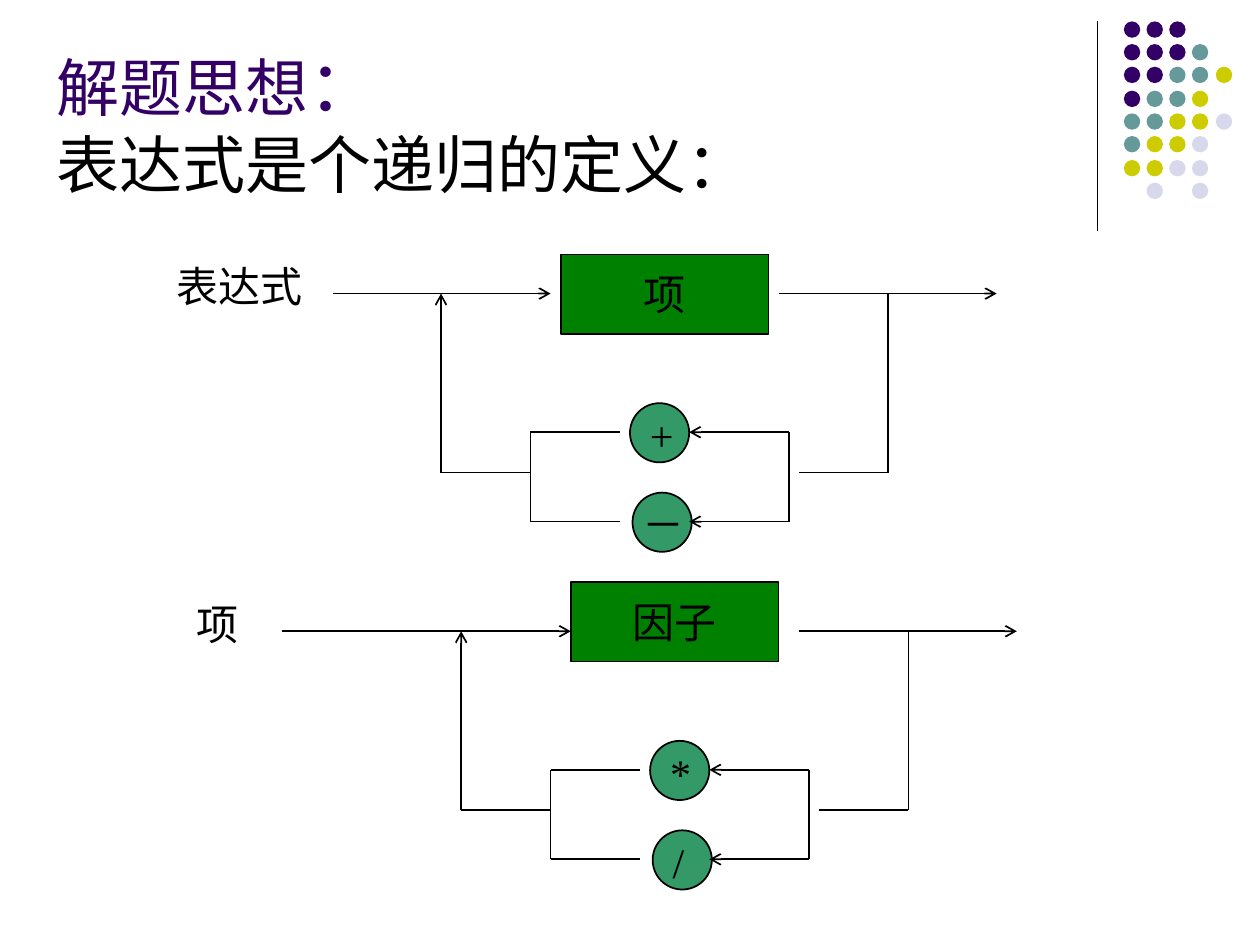
from typing import NamedTuple

from lxml.etree import SubElement
from pptx import Presentation
from pptx.dml.color import RGBColor
from pptx.enum.shapes import MSO_CONNECTOR as Link, MSO_SHAPE as Kind
from pptx.enum.text import MSO_ANCHOR as Anchor, MSO_AUTO_SIZE as Fit, PP_ALIGN as Align
from pptx.oxml.ns import qn
from pptx.util import Pt

SCALE = 9144
FONT = "Times New Roman"
BLACK = RGBColor(0x00, 0x00, 0x00)
PURPLE = RGBColor(0x33, 0x00, 0x66)
TEAL = RGBColor(0x66, 0x99, 0x99)
GOLD = RGBColor(0xCC, 0xCC, 0x00)
PALE = RGBColor(0xD8, 0xD8, 0xEC)
GREEN = RGBColor(0x00, 0x80, 0x00)
MINT = RGBColor(0x33, 0x99, 0x66)

DOTS = ["PPP", "PPPT", "PPTTG", "PTTG", "TTGGL", "TGGL", "GGLL", " L L"]
HUES = {"P": PURPLE, "T": TEAL, "G": GOLD, "L": PALE}


class Wire(NamedTuple):
    x1: int
    y1: int
    x2: int
    y2: int
    arrow: bool = False


class Box(NamedTuple):
    x: int
    y: int
    w: int
    h: int


class Rule(NamedTuple):
    name: str
    label: Box
    term: str
    block: Box
    enter: Wire
    leave: Wire
    signs: tuple[str, str]
    inset: tuple[int, int]
    dx: int
    dy: int


LOOP = [
    Wire(705, 233, 705, 375),
    Wire(705, 375, 634, 375),
    Wire(626, 343, 547, 343, True),
    Wire(626, 414, 547, 414, True),
    Wire(626, 343, 626, 414),
    Wire(350, 375, 350, 233, True),
    Wire(421, 375, 350, 375),
    Wire(421, 343, 421, 414),
    Wire(492, 343, 421, 343),
    Wire(492, 414, 421, 414),
]
KNOBS = [Box(500, 320, 47, 47), Box(502, 391, 47, 47)]

RULES = [
    Rule("表达式", Box(130, 202, 173, 50), "项", Box(445, 202, 165, 63),
         Wire(264, 233, 437, 233, True), Wire(618, 233, 791, 233, True),
         ("+", "－"), (6, -2), 0, 0),
    Rule("项", Box(146, 470, 173, 50), "因子", Box(453, 462, 165, 63),
         Wire(224, 501, 453, 501, True), Wire(634, 501, 807, 501, True),
         ("*", "/"), (6, 6), 16, 268),
]


def emu(*px: int) -> list[int]:
    return [n * SCALE for n in px]


def draw_wire(shapes, wire: Wire, width: float = 1) -> None:
    line = shapes.add_connector(Link.STRAIGHT, *emu(*wire[:4]))
    line.line.color.rgb = BLACK
    line.line.width = Pt(width)
    props = line._element.spPr
    if wire.arrow:
        SubElement(props.get_or_add_ln(), qn("a:tailEnd"), type="arrow")
    SubElement(props, qn("a:effectLst"))


def draw_shape(shapes, kind: Kind, box: Box, fill: RGBColor, edge: bool = True):
    shape = shapes.add_shape(kind, *emu(*box))
    shape.shadow.inherit = False
    shape.fill.solid()
    shape.fill.fore_color.rgb = fill
    if edge:
        shape.line.color.rgb = BLACK
        shape.line.width = Pt(1)
    else:
        shape.line.fill.background()
    return shape


def write(para, text: str, size: int = 24) -> None:
    para.text = text
    para.font.size = Pt(size)
    para.font.name = FONT
    para.font.color.rgb = BLACK


def draw_text(shapes, box: Box, text: str) -> None:
    frame = shapes.add_textbox(*emu(*box)).text_frame
    frame.word_wrap = True
    frame.auto_size = Fit.SHAPE_TO_FIT_TEXT
    write(frame.paragraphs[0], text)


def draw_title(title) -> None:
    title.left, title.top, title.width, title.height = emu(35, 28, 870, 137)
    frame = title.text_frame
    frame.word_wrap = True
    frame.auto_size = Fit.SHAPE_TO_FIT_TEXT
    frame.vertical_anchor = Anchor.TOP
    head = frame.paragraphs[0]
    for text, size in (("解题思想", 36), ("：", 40)):
        run = head.add_run()
        run.text = text
        run.font.size = Pt(size)
    head.font.name = FONT
    head.font.color.rgb = PURPLE
    write(frame.add_paragraph(), "表达式是个递归的定义：", 36)
    for para in frame.paragraphs:
        para.alignment = Align.LEFT


def draw_dots(shapes) -> None:
    draw_wire(shapes, Wire(871, 17, 871, 183), 0.75)
    for row, line in enumerate(DOTS):
        for col, key in enumerate(line):
            if key in HUES:
                box = Box(892 + 73 * col // 4, 17 + 55 * row // 3, 13, 13)
                draw_shape(shapes, Kind.OVAL, box, HUES[key], False)


def draw_rule(shapes, rule: Rule) -> None:
    draw_text(shapes, rule.label, rule.name)
    block = draw_shape(shapes, Kind.RECTANGLE, rule.block, GREEN)
    frame = block.text_frame
    frame.word_wrap = False
    frame.vertical_anchor = Anchor.MIDDLE
    write(frame.paragraphs[0], rule.term)
    frame.paragraphs[0].alignment = Align.CENTER
    for wire in (rule.enter, rule.leave):
        draw_wire(shapes, wire)
    for knob, sign, inset in zip(KNOBS, rule.signs, rule.inset):
        x, y = knob.x + rule.dx, knob.y + rule.dy
        draw_shape(shapes, Kind.OVAL, Box(x, y, knob.w, knob.h), MINT)
        draw_text(shapes, Box(x + inset, y, 39, 50), sign)
    for x1, y1, x2, y2, arrow in LOOP:
        draw_wire(shapes, Wire(x1 + rule.dx, y1 + rule.dy,
                               x2 + rule.dx, y2 + rule.dy, arrow))


def main() -> None:
    deck = Presentation()
    deck.slide_width, deck.slide_height = emu(1000, 750)
    slide = deck.slides.add_slide(deck.slide_layouts[5])
    draw_dots(slide.shapes)
    draw_title(slide.shapes.title)
    for rule in RULES:
        draw_rule(slide.shapes, rule)
    deck.save("out.pptx")


if __name__ == "__main__":
    main()
